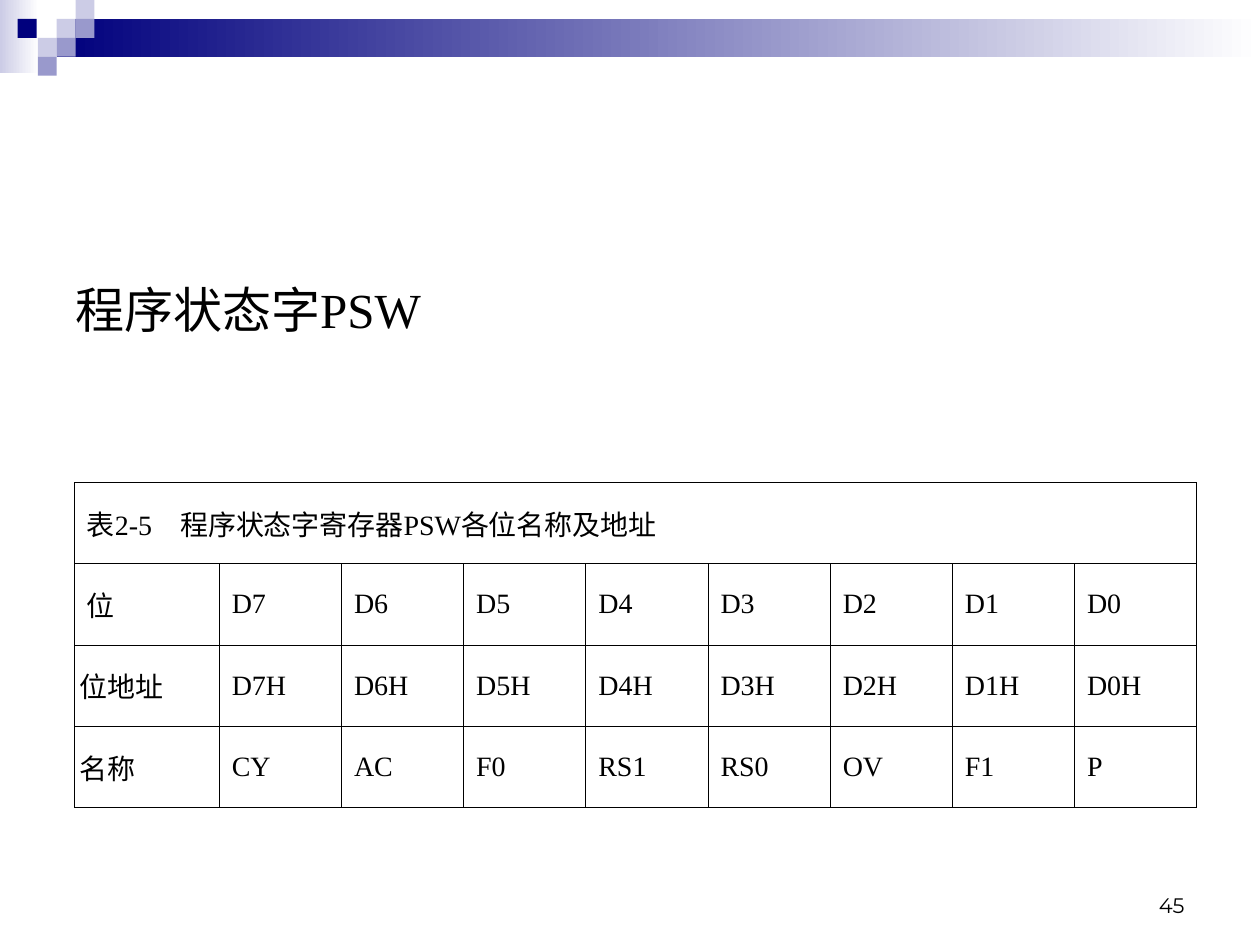
from lxml import etree
from pptx import Presentation
from pptx.dml.color import RGBColor
from pptx.enum.shapes import MSO_SHAPE
from pptx.enum.text import MSO_ANCHOR, PP_ALIGN
from pptx.oxml.ns import qn
from pptx.util import Inches, Pt

RECT = MSO_SHAPE.RECTANGLE
TOP, MIDDLE, BOTTOM = MSO_ANCHOR.TOP, MSO_ANCHOR.MIDDLE, MSO_ANCHOR.BOTTOM
LEFT, RIGHT = PP_ALIGN.LEFT, PP_ALIGN.RIGHT
WHITE = RGBColor(0xFF, 0xFF, 0xFF)
BLACK = RGBColor(0x00, 0x00, 0x00)
NAVY = RGBColor(0x00, 0x00, 0x7D)
PALE = RGBColor(0xCC, 0xCC, 0xE6)
LILAC = RGBColor(0x99, 0x99, 0xCC)
SERIF = "Times New Roman"
SANS = "Montserrat"


def write(frame, text, size, font=SERIF, align=LEFT, anchor=TOP, tab=None):
    frame.word_wrap = True
    frame.vertical_anchor = anchor
    para = frame.paragraphs[0]
    para.alignment = align
    run = para.add_run()
    run.text = text
    run.font.size = Pt(size)
    run.font.name = font
    run.font.color.rgb = BLACK
    if tab:
        props = para._p.get_or_add_pPr()
        stops = etree.SubElement(props, qn("a:tabLst"))
        etree.SubElement(stops, qn("a:tab"), pos=str(Inches(tab)), algn="l")


def border(cell, widths):
    """Draw the left, right, top and bottom edges, with widths in points."""
    props = cell._tc.get_or_add_tcPr()
    for spot, (side, width) in enumerate(zip("LRTB", widths)):
        line = etree.Element(qn(f"a:ln{side}"), w=str(Pt(width)))
        fill = etree.SubElement(line, qn("a:solidFill"))
        etree.SubElement(fill, qn("a:srgbClr"), val=str(BLACK))
        props.insert(spot, line)


prs = Presentation()
prs.slide_width, prs.slide_height = Inches(10), Inches(7.5)
slide = prs.slides.add_slide(prs.slide_layouts[6])
shapes = slide.shapes

# Header: two fading bars under a pattern of small squares
SIDE = 0.15
squares = [(0.45, 0.15, PALE), (0.6, 0, PALE), (0.6, 0.15, LILAC),
           (0.3, 0.3, PALE), (0.14, 0.15, NAVY), (0.45, 0.3, LILAC),
           (0.3, 0.45, LILAC)]
bars = [(0, 0, 0.31, 0.58, PALE, True), (0.45, 0.15, 9.55, 0.3, NAVY, True)]
bars += [(x, y, SIDE, SIDE, color, False) for x, y, color in squares]
for x, y, width, height, color, fades in bars:
    bar = shapes.add_shape(RECT, Inches(x), Inches(y), Inches(width), Inches(height))
    bar.shadow.inherit = False
    bar.line.fill.background()
    if fades:
        bar.fill.gradient()
        bar.fill.gradient_angle = 180
        for stop, tint, place in zip(bar.fill.gradient_stops, (WHITE, color), (0, 1)):
            stop.color.rgb = tint
            stop.position = place
    else:
        bar.fill.solid()
        bar.fill.fore_color.rgb = color

title = shapes.add_textbox(Inches(0.5), Inches(2.17), Inches(4.42), Inches(4.25))
write(title.text_frame, "程序状态字PSW", 28)

# Register table: a merged caption row above the bit rows
bits = [f"D{n}" for n in range(7, -1, -1)]
rows = [
    ["表2-5\t程序状态字寄存器PSW各位名称及地址"],
    ["位"] + bits,
    ["位地址"] + [f"{bit}H" for bit in bits],
    ["名称", "CY", "AC", "F0", "RS1", "RS0", "OV", "F1", "P"],
]
table = shapes.add_table(4, 9, Inches(0.59), Inches(3.83),
                         Inches(8.91), Inches(2.58)).table
table.first_row = table.horz_banding = False
for n, col in enumerate(table.columns):
    col.width = Inches(0.97 if n else 1.15)
for row in table.rows:
    row.height = Inches(2.58 / 4)
table.cell(0, 0).merge(table.cell(0, 8))

for r in range(4):
    for c in range(9):
        cell = table.cell(r, c)
        cell.fill.background()
        border(cell, (0.45,) * 4 if r else (0.34, 0.34, 0.34, 0.45))
        if c < len(rows[r]):
            inset = 0.04 if r > 1 and c == 0 else 0.1
            cell.margin_left = cell.margin_right = Inches(inset)
            cell.vertical_anchor = MIDDLE
            write(cell.text_frame, rows[r][c], 16, anchor=MIDDLE,
                  tab=None if r else 0.74)

page = shapes.add_textbox(Inches(7.17), Inches(6.83), Inches(2.33), Inches(0.5))
write(page.text_frame, "45", 12, font=SANS, align=RIGHT, anchor=BOTTOM)

prs.save("out.pptx")
